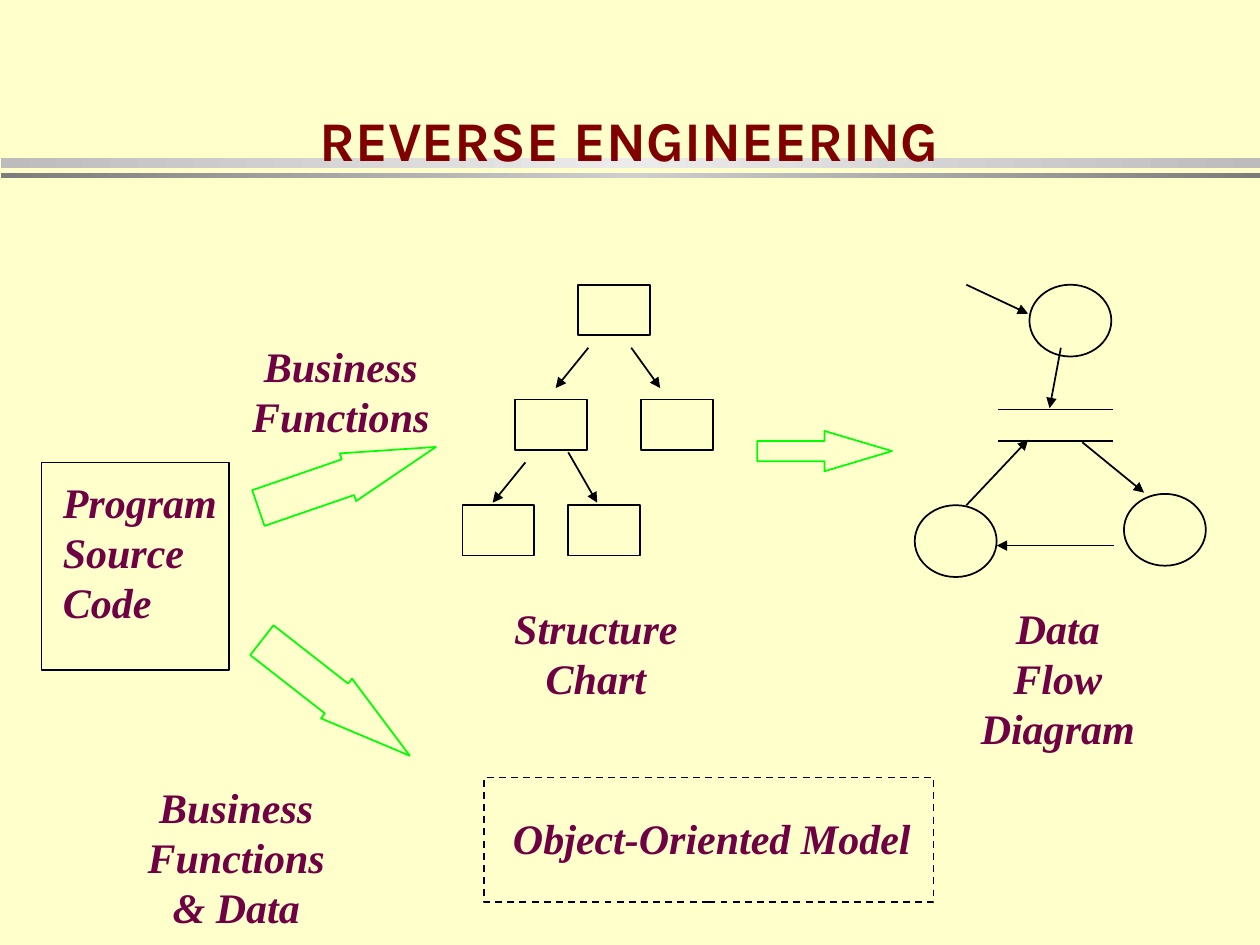
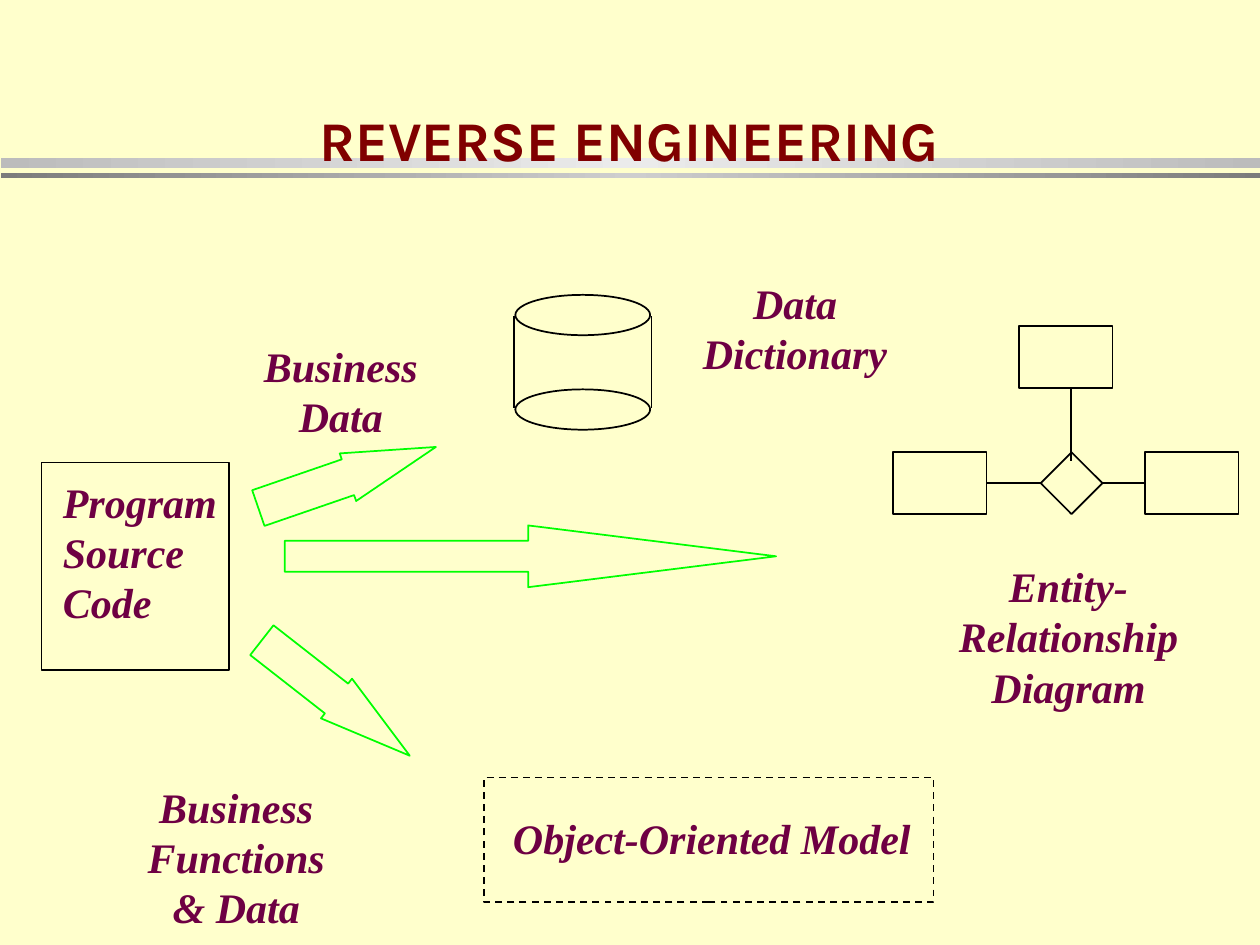
from copy import deepcopy
from dataclasses import dataclass

from pptx import Presentation
from pptx.dml.color import RGBColor
from pptx.enum.dml import MSO_LINE
from pptx.enum.shapes import MSO_CONNECTOR, MSO_SHAPE
from pptx.enum.text import MSO_ANCHOR, MSO_AUTO_SIZE, PP_ALIGN
from pptx.oxml.ns import qn
from pptx.util import Inches, Pt
from lxml import etree

RECTANGLE = MSO_SHAPE.RECTANGLE
ELLIPSE = MSO_SHAPE.OVAL
DIAMOND = MSO_SHAPE.DIAMOND
RIGHT_ARROW = MSO_SHAPE.RIGHT_ARROW
STRAIGHT = MSO_CONNECTOR.STRAIGHT
DASH = MSO_LINE.DASH
LEFT = PP_ALIGN.LEFT
CENTER = PP_ALIGN.CENTER
BOTTOM = MSO_ANCHOR.BOTTOM
NO_AUTOFIT = MSO_AUTO_SIZE.NONE
LEFT_SIDE, RIGHT_SIDE = 1, 3
TITLE_ONLY = 5


@dataclass(frozen=True)
class Theme:
    background: str = "FFFFCC"
    title: str = "800000"
    label: str = "6E0043"
    outline: str = "000000"
    arrow: str = "00FF00"
    wide_band: tuple = ("BCBCBC", "EBEBEB", "BCBCBC")
    thin_band: tuple = ("7C7C7C", "CECECE", "7C7C7C")
    title_font: str = "Karla"
    label_font: str = "Times New Roman"
    title_size: int = 32
    label_size: int = 24
    line_width: int = 1


THEME = Theme()


def rgb(value):
    return RGBColor.from_string(value)


def add_outline(slide, kind, left, top, width, height, color=THEME.outline):
    shape = slide.shapes.add_shape(
        kind, Inches(left), Inches(top), Inches(width), Inches(height))
    shape.shadow.inherit = False
    shape.fill.background()
    shape.line.color.rgb = rgb(color)
    shape.line.width = Pt(THEME.line_width)
    return shape


def add_line(slide, start, end, arrow=False):
    connector = slide.shapes.add_connector(
        STRAIGHT, *(Inches(value) for value in (*start, *end)))
    connector.line.color.rgb = rgb(THEME.outline)
    connector.line.width = Pt(THEME.line_width)
    properties = connector._element.spPr
    if arrow:
        etree.SubElement(properties.find(qn("a:ln")), qn("a:tailEnd"), type="triangle")
    etree.SubElement(properties, qn("a:effectLst"))
    return connector


def add_label(slide, lines, left, top, width, alignment=CENTER):
    height = 0.4 * len(lines) + 0.1
    box = slide.shapes.add_textbox(
        Inches(left), Inches(top), Inches(width), Inches(height))
    frame = box.text_frame
    frame.word_wrap = False
    frame.text = "\n".join(lines)
    for paragraph in frame.paragraphs:
        paragraph.alignment = alignment
        paragraph.font.name = THEME.label_font
        paragraph.font.size = Pt(THEME.label_size)
        paragraph.font.bold = True
        paragraph.font.italic = True
        paragraph.font.color.rgb = rgb(THEME.label)


def add_block_arrow(slide, left, top, width, height, shaft, head, rotation=0):
    arrow = add_outline(slide, RIGHT_ARROW, left, top, width, height, THEME.arrow)
    arrow.adjustments[0] = shaft
    arrow.adjustments[1] = head
    arrow.rotation = rotation


def add_band(slide, top, height, colors):
    band = add_outline(slide, RECTANGLE, 0.01, top, 9.99, height)
    band.line.fill.background()
    band.fill.gradient()
    band.fill.gradient_angle = 0
    stop_list = band._element.spPr.find(qn("a:gradFill")).find(qn("a:gsLst"))
    stop_list.insert(1, deepcopy(stop_list[0]))
    for stop, color, position in zip(band.fill.gradient_stops, colors, (0, 0.5, 1)):
        stop.color.rgb = rgb(color)
        stop.position = position
    slide.shapes._spTree.insert(2, band._element)


def add_title(slide, text):
    title = slide.shapes.title
    title.left, title.top = Inches(0.58), Inches(0.19)
    title.width, title.height = Inches(8.83), Inches(1.23)
    frame = title.text_frame
    frame.text = text
    frame.auto_size = NO_AUTOFIT
    frame.vertical_anchor = BOTTOM
    paragraph = frame.paragraphs[0]
    paragraph.alignment = CENTER
    paragraph.font.name = THEME.title_font
    paragraph.font.size = Pt(THEME.title_size)
    paragraph.font.bold = True
    paragraph.font.color.rgb = rgb(THEME.title)


def add_source_code(slide, left, top):
    add_outline(slide, RECTANGLE, left, top, 1.49, 1.65)
    add_label(slide, ["Program", "Source", "Code"], left + 0.07, top + 0.06, 1.42, LEFT)


def add_object_model(slide, left, top):
    frame = add_outline(slide, RECTANGLE, left, top, 3.57, 0.99)
    frame.line.dash_style = DASH
    add_label(slide, ["Object-Oriented Model"], left + 0.13, top + 0.23, 3.36)


def add_structure_chart(slide, left, top):
    modules = [(0.92, 0), (0.42, 0.91), (1.42, 0.91), (0, 1.75), (0.84, 1.75)]
    calls = [
        ((1, 0.5), (0.74, 0.82)),
        ((0.5, 1.41), (0.24, 1.73)),
        ((1.34, 0.5), (1.57, 0.82)),
        ((0.84, 1.33), (1.07, 1.73)),
    ]
    for x, y in modules:
        add_outline(slide, RECTANGLE, left + x, top + y, 0.57, 0.4)
    for (x1, y1), (x2, y2) in calls:
        add_line(slide, (left + x1, top + y1), (left + x2, top + y2), arrow=True)
    add_label(slide, ["Structure", "Chart"], left + 0.31, top + 2.47, 1.5)


def add_data_flow_diagram(slide, left, top):
    processes = [(0.91, 0), (0, 1.75), (1.66, 1.66)]
    flows = [
        ((0.41, 1.75), (0.9, 1.23)),
        ((1.33, 1.25), (1.82, 1.65)),
        ((1.58, 2.07), (0.65, 2.07)),
        ((0.41, 0), (0.9, 0.23)),
        ((1.16, 0.5), (1.07, 0.98)),
    ]
    for x, y in processes:
        add_outline(slide, ELLIPSE, left + x, top + y, 0.65, 0.57)
    for store_edge in (top + 0.99, top + 1.24):
        add_line(slide, (left + 0.66, store_edge), (left + 1.57, store_edge))
    for (x1, y1), (x2, y2) in flows:
        add_line(slide, (left + x1, top + y1), (left + x2, top + y2), arrow=True)
    add_label(slide, ["Data Flow", "Diagram"], left + 0.31, top + 2.47, 1.65)


def add_data_dictionary(slide, left, top):
    for lid_top in (top, top + 0.75):
        add_outline(slide, ELLIPSE, left, lid_top, 1.07, 0.32)
    for side in (left - 0.01, left + 1.08):
        add_line(slide, (side, top + 0.17), (side, top + 0.9))
    add_label(slide, ["Data", "Dictionary"], left + 1.39, top - 0.19, 1.66)


def add_entity_diagram(slide, left, top):
    first, _, last = [
        add_outline(slide, RECTANGLE, left + x, top + y, 0.74, 0.49)
        for x, y in ((0, 1), (1, 0), (2, 1))]
    link = add_line(slide, (left + 0.74, top + 1.24), (left + 2, top + 1.24))
    link.begin_connect(first, RIGHT_SIDE)
    link.end_connect(last, LEFT_SIDE)
    relationship = add_outline(slide, DIAMOND, left + 1.17, top + 1, 0.49, 0.49)
    relationship.fill.solid()
    relationship.fill.fore_color.rgb = rgb(THEME.background)
    add_line(slide, (left + 1.41, top + 0.5), (left + 1.41, top + 1.07))
    add_label(slide, ["Entity-Relationship", "Diagram"], left - 0.05, top + 1.81, 2.88)


def add_engineering_slide(presentation, upper_label):
    slide = presentation.slides.add_slide(presentation.slide_layouts[TITLE_ONLY])
    add_band(slide, 1.25, 0.08, THEME.wide_band)
    add_band(slide, 1.37, 0.04, THEME.thin_band)
    add_title(slide, "REVERSE ENGINEERING")
    add_source_code(slide, 0.33, 3.67)
    add_block_arrow(slide, 2.01, 3.59, 1.49, 0.4, 0.75, 1.845, rotation=341)
    add_block_arrow(slide, 1.92, 5.34, 1.49, 0.4, 0.75, 1.845, rotation=38)
    add_label(slide, upper_label, 1.9, 2.65, 1.61)
    add_label(slide, ["Business", "Functions", "& Data"], 1.07, 6.15, 1.61)
    add_object_model(slide, 3.84, 6.17)
    return slide


def add_functions_slide(presentation):
    slide = add_engineering_slide(presentation, ["Business", "Functions"])
    add_structure_chart(slide, 3.67, 2.26)
    add_block_arrow(slide, 6.01, 3.42, 1.07, 0.32, 0.5, 1.675)
    add_data_flow_diagram(slide, 7.26, 2.26)


def add_data_slide(presentation):
    slide = add_engineering_slide(presentation, ["Business", "Data"])
    add_data_dictionary(slide, 4.09, 2.34)
    add_block_arrow(slide, 2.26, 4.17, 3.9, 0.49, 0.5, 4.014)
    add_entity_diagram(slide, 7.09, 2.59)


def main():
    presentation = Presentation()
    presentation.slide_width = Inches(10)
    presentation.slide_height = Inches(7.5)
    background = presentation.slide_master.background.fill
    background.solid()
    background.fore_color.rgb = rgb(THEME.background)
    add_functions_slide(presentation)
    add_data_slide(presentation)
    presentation.save("out.pptx")


if __name__ == "__main__":
    main()
